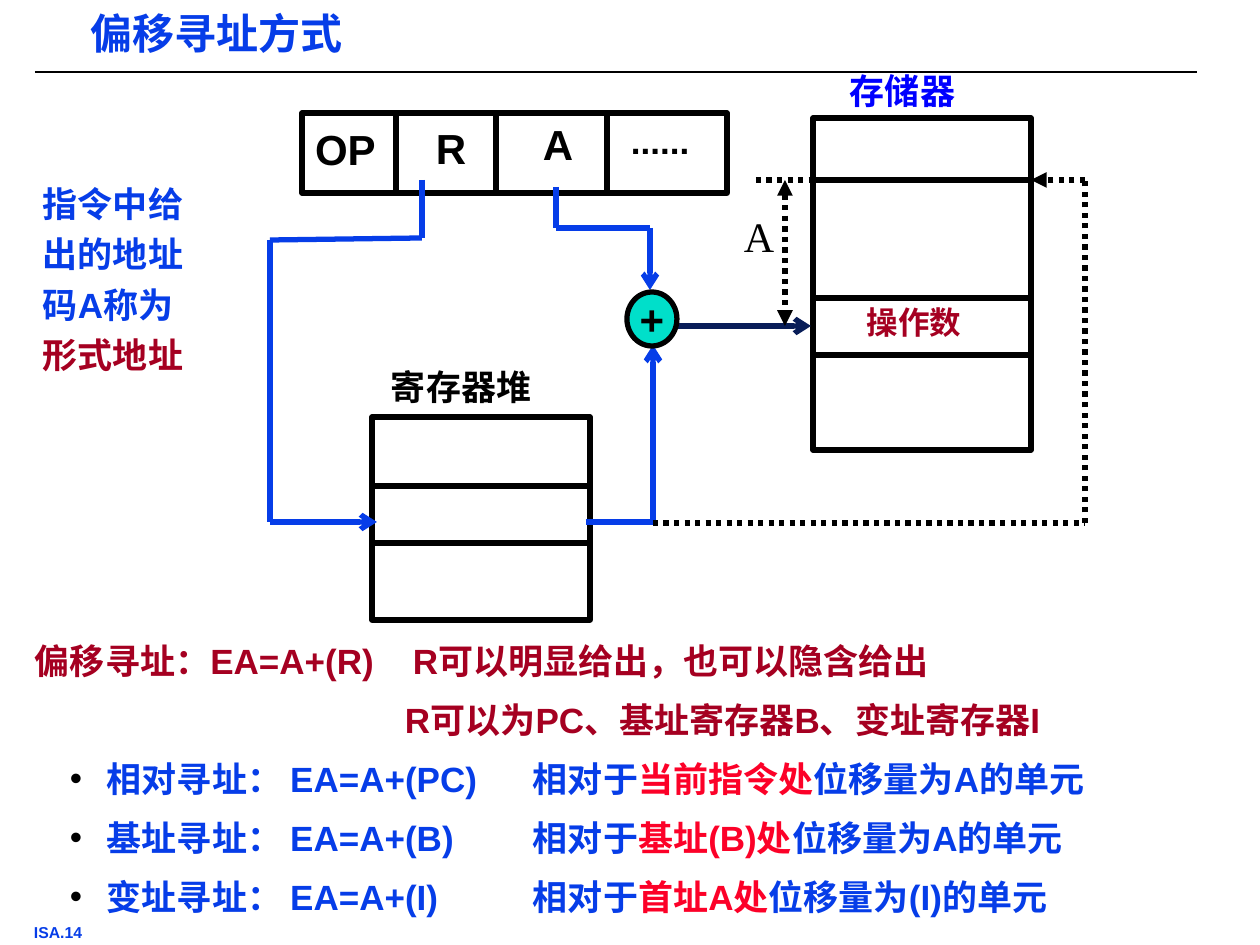
from pptx import Presentation
from pptx.dml.color import RGBColor
from pptx.enum.dml import MSO_LINE
from pptx.enum.shapes import MSO_CONNECTOR, MSO_SHAPE
from pptx.enum.text import MSO_ANCHOR, PP_ALIGN
from pptx.oxml.ns import qn
from pptx.util import Pt
from lxml.etree import SubElement

PX = 914400 // 126
BLUE, DARK_RED, RED, BLACK, NAVY = "063DE8", "A50021", "FC0128", "000000", "081D58"
SANS, SERIF = "Arial", "Times New Roman"
WIDE, NARROW = (13, 6), (9, 4)  # side and top insets

# left, top, width, height, inner horizontal edges
INSTRUCTION = (302, 113, 425, 80)
MEMORY = (813, 118, 218, 332)
REGISTERS = (372, 417, 218, 203)
FIELD_DIVIDERS = [396, 496, 607]
MEMORY_ROWS = [180, 298, 355]
REGISTER_ROWS = [486, 543]
ADDER = (627, 292, 50, 54)

# points, colour, dotted, arrow at start, arrow at end
WIRES = [
    ([(422, 180), (422, 238), (270, 240), (270, 522), (377, 522)], BLUE, False, None, "arrow"),
    ([(556, 187), (556, 228), (650, 228), (650, 290)], BLUE, False, None, "arrow"),
    ([(586, 522), (653, 522), (653, 345)], BLUE, False, None, "arrow"),
    ([(678, 326), (811, 326)], NAVY, False, None, "arrow"),
    ([(653, 523), (1085, 523), (1085, 180), (1031, 180)], BLACK, True, None, "triangle"),
    ([(756, 180), (811, 180)], BLACK, True, None, None),
    ([(785, 180), (785, 326)], BLACK, True, "triangle", "triangle"),
]

# text, left, top, width, height, size, font, colour, bold, insets
LABELS = [
    ("OP", 302, 118, 110, 63, 24, SANS, BLACK, True, WIDE),
    ("R", 423, 117, 58, 63, 24, SANS, BLACK, True, WIDE),
    ("A", 530, 113, 58, 63, 24, SANS, BLACK, True, WIDE),
    ("......", 622, 116, 106, 49, 20, SANS, BLACK, True, NARROW),
    ("存储器", 837, 63, 190, 55, 20, SERIF, "0000FF", True, WIDE),
    ("操作数", 854, 297, 140, 50, 18, SERIF, DARK_RED, True, WIDE),
    ("寄存器堆", 378, 359, 233, 55, 20, SERIF, BLACK, True, WIDE),
    ("A", 731, 205, 72, 63, 24, SERIF, BLACK, False, WIDE),
]

FORMULA_TAB, RULE_INDENT = 377, 370
BULLET_INDENT, BULLET_HANG, MODE_TAB = 72, 37, 498
MODES = [
    ("相对寻址： EA=A+(PC)", "当前指令处", "位移量为A的单元"),
    ("基址寻址： EA=A+(B)", "基址(B)处", "位移量为A的单元"),
    ("变址寻址： EA=A+(I)", "首址A处", "位移量为(I)的单元"),
]


def color(value):
    return RGBColor.from_string(value)


def add_text(left, top, width, height, insets=NARROW):
    box = page.shapes.add_textbox(left * PX, top * PX, width * PX, height * PX)
    frame = box.text_frame
    frame.word_wrap = True
    frame.margin_left = frame.margin_right = insets[0] * PX
    frame.margin_top = frame.margin_bottom = insets[1] * PX
    return box


def add_spans(para, spans, size, font=SANS, bold=True):
    """Append (text, colour) spans to a paragraph."""
    for text, value in spans:
        span = para.add_run()
        span.text = text
        span.font.size, span.font.name, span.font.bold = Pt(size), font, bold
        span.font.color.rgb = color(value)


def set_layout(para, indent=0, hang=0, tab=None, bullet=False):
    """Set the indents, tab stop and bullet of a paragraph."""
    props = para._p.get_or_add_pPr()
    props.set("marL", str(indent * PX))
    props.set("indent", str(-hang * PX))
    if bullet:
        bullet_color = SubElement(props, qn("a:buClr"))
        SubElement(bullet_color, qn("a:srgbClr"), val=BLACK)
        SubElement(props, qn("a:buFont"), typeface=SANS)
        SubElement(props, qn("a:buChar"), char="•")
    if tab:
        tabs = SubElement(props, qn("a:tabLst"))
        SubElement(tabs, qn("a:tab"), pos=str(tab * PX), algn="l")


def add_line(start, end, value=BLACK, width=3, dotted=False, head=None, tail=None):
    line = page.shapes.add_connector(
        MSO_CONNECTOR.STRAIGHT, *(n * PX for n in (*start, *end)))
    line.line.color.rgb = color(value)
    line.line.width = Pt(width)
    if dotted:
        line.line.dash_style = MSO_LINE.ROUND_DOT
    for tag, kind in (("a:headEnd", head), ("a:tailEnd", tail)):
        if kind:
            SubElement(line.line._get_or_add_ln(), qn(tag), type=kind)
    SubElement(line._element.spPr, qn("a:effectLst"))


def add_outline(kind, bounds, fill=None):
    shape = page.shapes.add_shape(kind, *(n * PX for n in bounds))
    shape.shadow.inherit = False
    if fill:
        shape.fill.solid()
        shape.fill.fore_color.rgb = color(fill)
    else:
        shape.fill.background()
    shape.line.color.rgb = color(BLACK)
    shape.line.width = Pt(3)
    return shape


deck = Presentation()
deck.slide_width, deck.slide_height = 1260 * PX, 945 * PX
page = deck.slides.add_slide(deck.slide_layouts[6])

# Title, rule and page number
title = add_text(82, 11, 316, 50)
title.text_frame.vertical_anchor = MSO_ANCHOR.MIDDLE
add_spans(title.text_frame.paragraphs[0], [("偏移寻址方式", BLUE)], 24)
title.text_frame.paragraphs[0].line_spacing = 0.87
add_line((35, 72), (1197, 72), width=1)
footer = add_text(25, 922, 125, 23)
footer.text_frame.paragraphs[0].line_spacing = 0.85
add_spans(footer.text_frame.paragraphs[0], [("ISA.14", BLUE)], 9)

# Instruction word, memory and register file
for bounds in (INSTRUCTION, MEMORY, REGISTERS):
    add_outline(MSO_SHAPE.RECTANGLE, bounds)
for x in FIELD_DIVIDERS:
    add_line((x, INSTRUCTION[1]), (x, INSTRUCTION[1] + INSTRUCTION[3]))
for (left, _, width, _), rows in ((MEMORY, MEMORY_ROWS), (REGISTERS, REGISTER_ROWS)):
    for y in rows:
        add_line((left, y), (left + width, y))

for points, value, dotted, head, tail in WIRES:
    last = len(points) - 2
    for i, (start, end) in enumerate(zip(points, points[1:])):
        add_line(start, end, value, dotted=dotted,
                 head=head if i == 0 else None, tail=tail if i == last else None)

adder = add_outline(MSO_SHAPE.OVAL, ADDER, "00DFCA")
frame = adder.text_frame
frame.margin_left = frame.margin_right = frame.margin_top = frame.margin_bottom = 0
frame.vertical_anchor = MSO_ANCHOR.MIDDLE
frame.paragraphs[0].alignment = PP_ALIGN.CENTER
add_spans(frame.paragraphs[0], [("+", BLACK)], 24)

for text, left, top, width, height, size, font, value, bold, insets in LABELS:
    box = add_text(left, top, width, height, insets)
    add_spans(box.text_frame.paragraphs[0], [(text, value)], size, font, bold)

# Explanations
note = add_text(34, 170, 175, 209).text_frame.paragraphs[0]
note.line_spacing = 1.2
add_spans(note, [("指令中给出的地址码A称为", BLUE), ("形式地址", DARK_RED)], 20)

summary = [
    ([("偏移寻址：EA=A+(R)\tR可以明显给出，也可以隐含给出", DARK_RED)], {"tab": FORMULA_TAB}),
    ([("R可以为PC、基址寄存器B、变址寄存器I", DARK_RED)], {"indent": RULE_INDENT}),
]
for formula, base, rest in MODES:
    summary.append((
        [(formula + "\t相对于", BLUE), (base, RED), (rest, BLUE)],
        {"indent": BULLET_INDENT, "hang": BULLET_HANG, "tab": MODE_TAB, "bullet": True}))
frame = add_text(26, 627, 1139, 294).text_frame
for i, (spans, layout) in enumerate(summary):
    para = frame.add_paragraph() if i else frame.paragraphs[0]
    set_layout(para, **layout)
    para.line_spacing = 1.2
    if i:
        para.space_before = Pt(5)
    add_spans(para, spans, 20)

deck.save("out.pptx")
